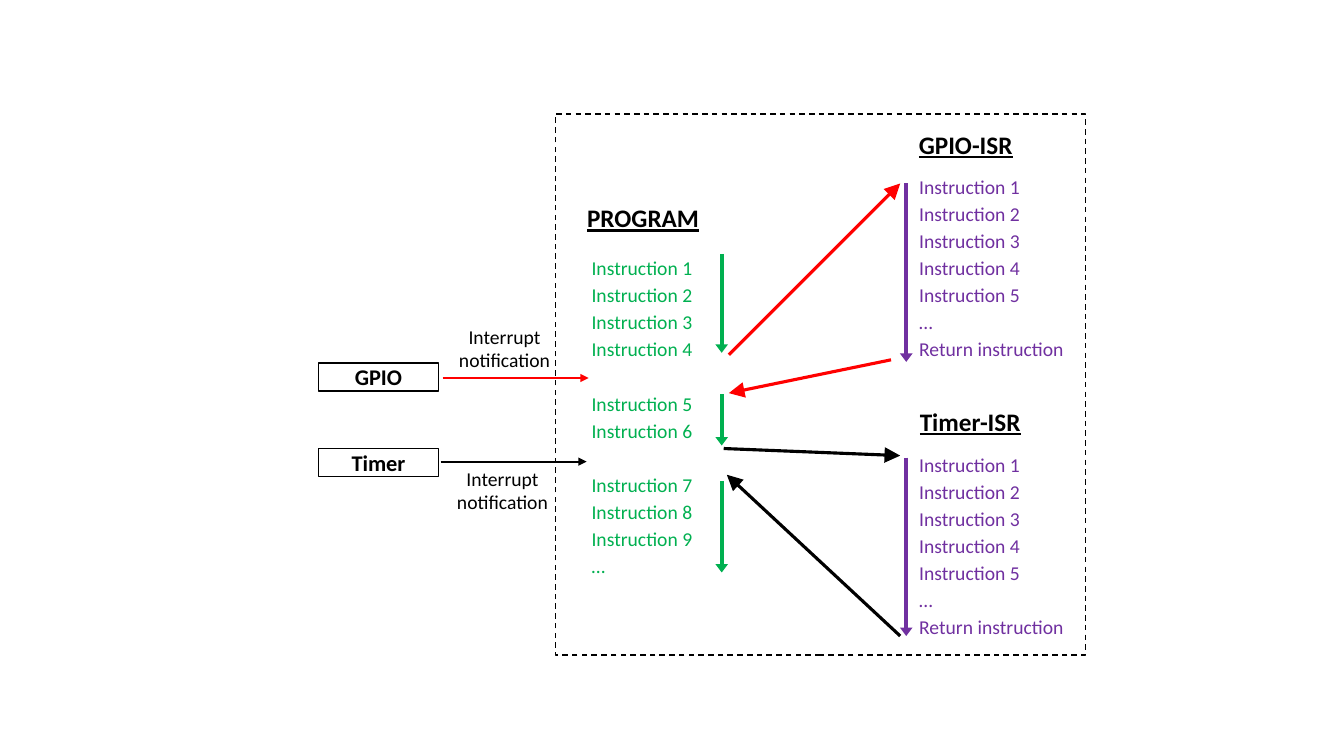
from lxml.etree import SubElement
from pptx import Presentation
from pptx.dml.color import RGBColor
from pptx.enum.dml import MSO_LINE
from pptx.enum.shapes import MSO_CONNECTOR, MSO_SHAPE
from pptx.enum.text import MSO_ANCHOR, PP_ALIGN
from pptx.oxml.ns import qn
from pptx.util import Inches, Pt

BLACK = RGBColor(0x00, 0x00, 0x00)
RED = RGBColor(0xFF, 0x00, 0x00)
GREEN = RGBColor(0x00, 0xB0, 0x50)
PURPLE = RGBColor(0x70, 0x30, 0xA0)
GAP = Pt(2.5)         # space between instructions
PAUSE = Pt(22.1)      # space where the program is interrupted

prs = Presentation()
prs.slide_width, prs.slide_height = Inches(13.33), Inches(7.5)
s = prs.slides.add_slide(prs.slide_layouts[6])

# Positions are percentages of the slide's width and height
COL, ROW = prs.slide_width / 100, prs.slide_height / 100


def add_text(sp, lines, size, color, align=PP_ALIGN.LEFT, heading=False,
             bold=False, wrap=False, pauses=()):
    tf = sp.text_frame
    tf.word_wrap = wrap
    tf.vertical_anchor = MSO_ANCHOR.MIDDLE
    for i, line in enumerate(lines):
        p = tf.add_paragraph() if i else tf.paragraphs[0]
        p.alignment = align
        if i:
            p.space_before = PAUSE if line in pauses else GAP
        r = p.add_run()
        r.text = line
        r.font.name, r.font.size = "Calibri", Pt(size)
        r.font.color.rgb = color
        r.font.bold = bold or heading
        r.font.underline = heading


def add_arrow(x1, y1, x2, y2, color, width, head_w="med", head_len="med"):
    c = s.shapes.add_connector(
        MSO_CONNECTOR.STRAIGHT, round(x1 * COL), round(y1 * ROW),
        round(x2 * COL), round(y2 * ROW))
    c.line.color.rgb = color
    c.line.width = Pt(width)
    SubElement(c.line._get_or_add_ln(), qn("a:tailEnd"),
               type="triangle", w=head_w, len=head_len)
    SubElement(c._element.spPr, qn("a:effectLst"))


# Dashed frame and the two interrupt sources
for x, y, w, h, name in [(41.33, 15.07, 39.45, 71.6, None),
                         (23.7, 48, 8.93, 3.73, "GPIO"),
                         (23.7, 59.33, 8.93, 3.73, "Timer")]:
    sp = s.shapes.add_shape(MSO_SHAPE.RECTANGLE, round(x * COL),
                            round(y * ROW), round(w * COL), round(h * ROW))
    sp.shadow.inherit = False
    sp.fill.background()
    sp.line.color.rgb = BLACK
    sp.line.width = Pt(1)
    if name:
        add_text(sp, [name], 16, BLACK, PP_ALIGN.CENTER, bold=True, wrap=True)
    else:
        sp.line.dash_style = MSO_LINE.DASH

# Headings, instruction lists and notification labels
program = [f"Instruction {n}" for n in range(1, 10)] + ["…"]
isr = program[:5] + ["…", "Return instruction"]
heading = dict(size=18, color=BLACK, align=PP_ALIGN.CENTER, heading=True)
routine = dict(size=14, color=PURPLE)
label = dict(size=14, color=BLACK, align=PP_ALIGN.CENTER, wrap=True)
for x, y, w, h, lines, style in [
    (42.9, 26.13, 9.9, 5.33, ["PROGRAM"], heading),
    (67.58, 16.4, 8.55, 5.33, ["GPIO-ISR"], heading),
    (67.65, 53.07, 9.08, 5.33, ["Timer-ISR"], heading),
    (43.28, 32.13, 9.08, 46, program,
     dict(size=14, color=GREEN, pauses=("Instruction 5", "Instruction 7"))),
    (67.65, 21.87, 12.38, 27.07, isr, routine),
    (67.65, 58.67, 12.38, 27.07, isr, routine),
    (33.3, 42.27, 8.48, 7.6, ["Interrupt notification"], label),
    (33.15, 61.07, 8.48, 7.6, ["Interrupt notification"], label),
]:
    sp = s.shapes.add_textbox(round(x * COL), round(y * ROW),
                              round(w * COL), round(h * ROW))
    add_text(sp, lines, **style)

# Execution arrows beside each block of instructions
for x, top, bottom, color in [(53.7, 33.6, 46.67, GREEN),
                              (53.7, 52.13, 58.93, GREEN),
                              (53.7, 63.6, 75.73, GREEN),
                              (67.43, 24.27, 47.87, PURPLE),
                              (67.43, 60.53, 84.13, PURPLE)]:
    add_arrow(x, top, x, bottom, color, 3, head_len="sm")

# Jumps to the routines and back
for x1, y1, x2, y2, color in [(54.23, 46.93, 66.98, 24.27, RED),
                              (66.3, 47.6, 54.23, 52, RED),
                              (53.85, 59.33, 66.98, 60.27, BLACK),
                              (66.98, 84.13, 54.08, 62.8, BLACK)]:
    add_arrow(x1, y1, x2, y2, color, 2.25, "lg", "lg")

# Interrupt notifications
add_arrow(32.93, 50, 43.8, 50, RED, 1.5)
add_arrow(32.78, 61.07, 43.65, 61.07, BLACK, 1.5)

prs.save("out.pptx")
